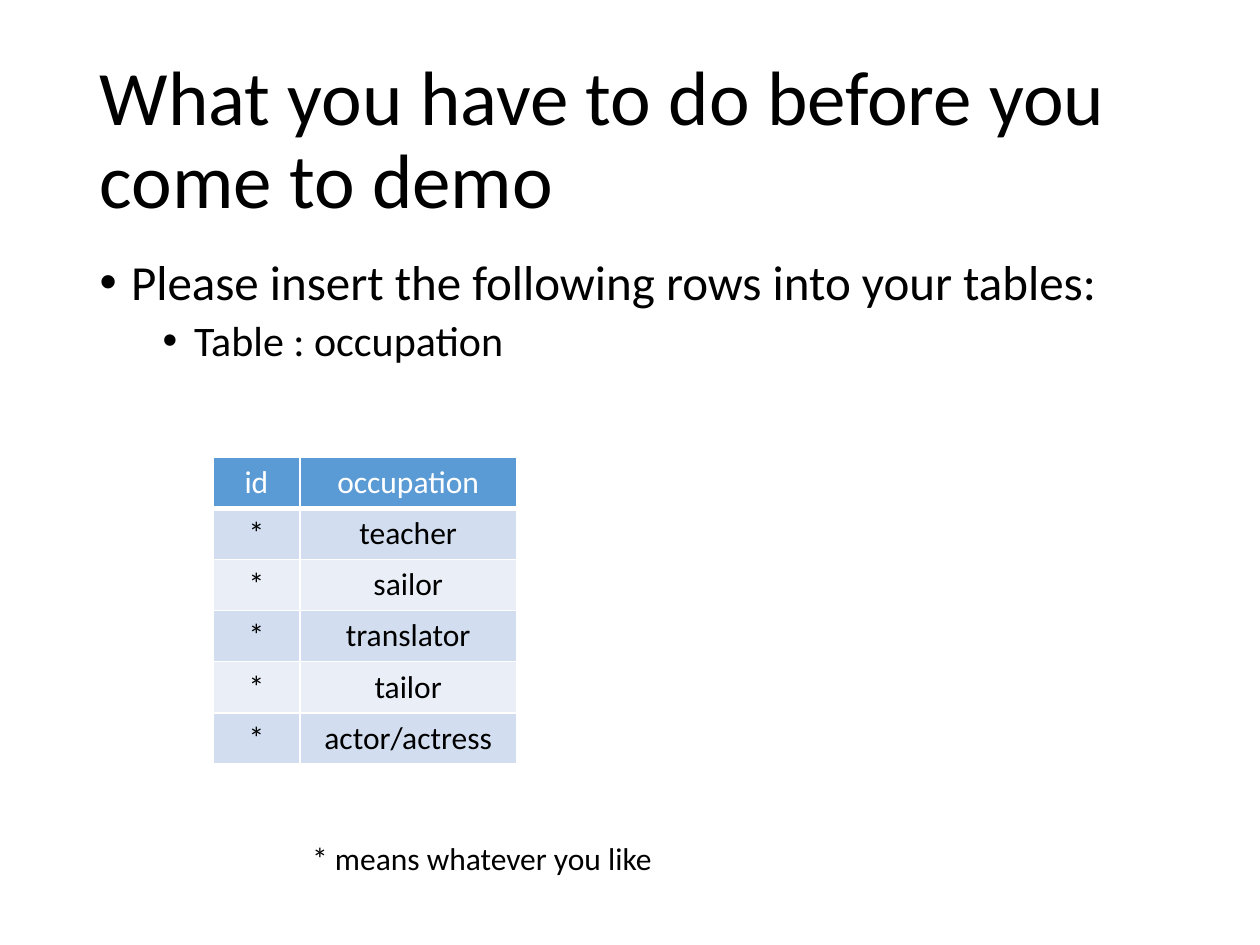
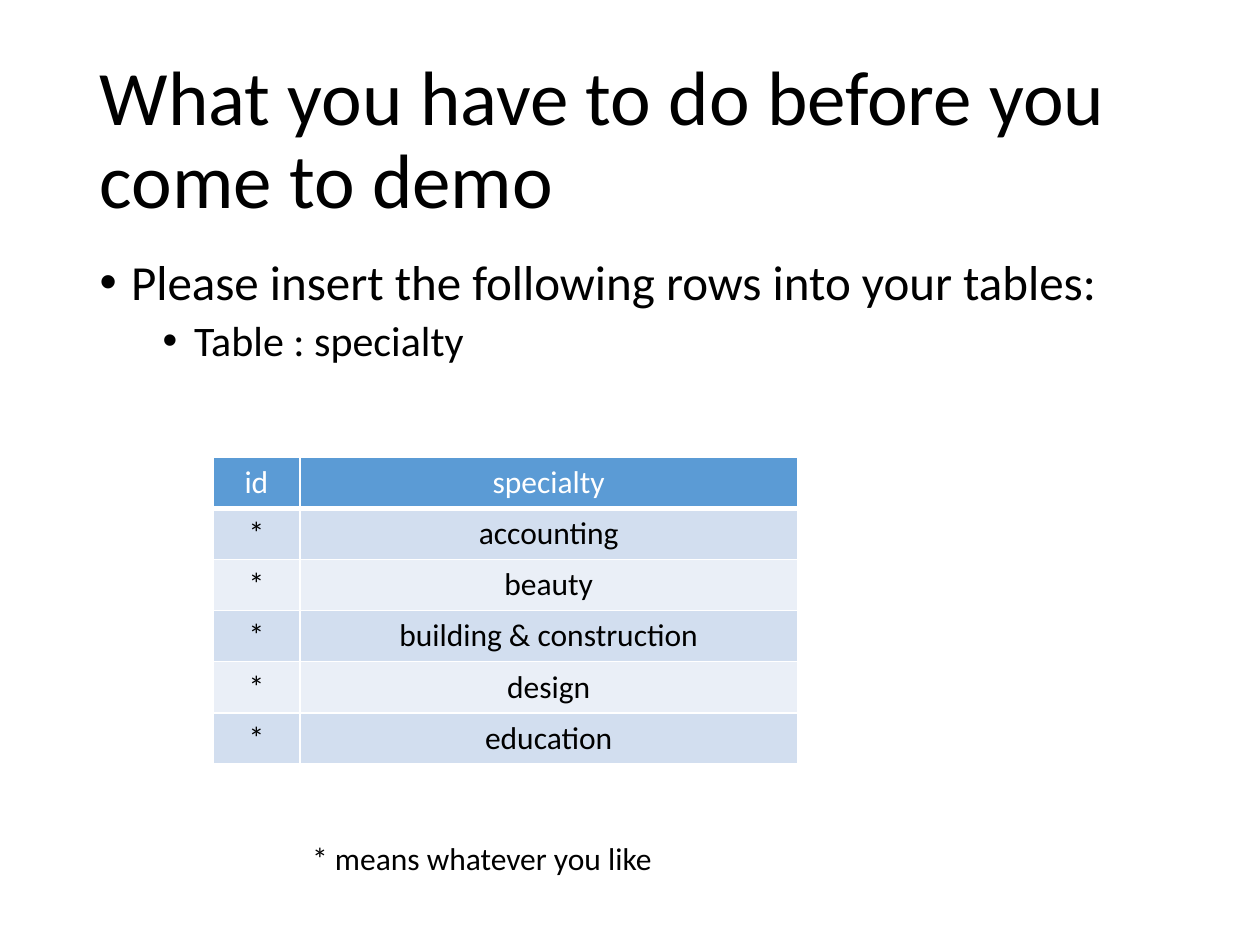
from lxml.etree import SubElement
from pptx import Presentation
from pptx.dml.color import RGBColor
from pptx.enum.text import MSO_ANCHOR, MSO_AUTO_SIZE, PP_ALIGN
from pptx.oxml import parse_xml
from pptx.oxml.ns import nsdecls, qn
from pptx.util import Emu, Pt

EMU_PER_PX = 9144
FONT = "Calibri"
BLACK = RGBColor(0x00, 0x00, 0x00)
WHITE = RGBColor(0xFF, 0xFF, 0xFF)
HEADER_BLUE = RGBColor(0x5B, 0x9B, 0xD5)
BAND_DARK = RGBColor(0xD2, 0xDE, 0xEF)
BAND_LIGHT = RGBColor(0xEA, 0xEF, 0xF7)

TITLE = "What you have to do before you come to demo"
INSTRUCTION = "Please insert the following rows into your tables:"
FOOTNOTE = "* means whatever you like"
ID_WIDTH = 69
TABLE_HEIGHT = 243
TABLES = [
    ("occupation", 172,
     ["teacher", "sailor", "translator", "tailor", "actor/actress"]),
    ("specialty", 395,
     ["accounting", "beauty", "building & construction", "design", "education"]),
]


def px(length):
    return Emu(round(length * EMU_PER_PX))


class DemoDeck:
    def __init__(self):
        self.presentation = Presentation()
        self.presentation.slide_width = px(1000)
        self.presentation.slide_height = px(750)
        self.slide = None

    def add_slide(self):
        layout = self.presentation.slide_layouts[1]
        self.slide = self.presentation.slides.add_slide(layout)
        self.slide.background.fill.solid()
        self.slide.background.fill.fore_color.rgb = WHITE

    def place(self, shape, left, top, width, height):
        shape.left, shape.top = px(left), px(top)
        shape.width, shape.height = px(width), px(height)
        shape.text_frame.word_wrap = True
        shape.text_frame.auto_size = MSO_AUTO_SIZE.NONE

    def add_text(self, paragraph, text, size, color=BLACK, align=PP_ALIGN.LEFT):
        paragraph.alignment = align
        run = paragraph.add_run()
        run.text = text
        run.font.name = FONT
        run.font.size = Pt(size)
        run.font.color.rgb = color

    def title(self, text):
        shape = self.slide.shapes.title
        self.place(shape, 69, 40, 862, 145)
        shape.text_frame.vertical_anchor = MSO_ANCHOR.MIDDLE
        paragraph = shape.text_frame.paragraphs[0]
        paragraph.line_spacing = 0.9
        self.add_text(paragraph, text, 44)

    def bullets(self, items):
        shape = self.slide.placeholders[1]
        self.place(shape, 69, 200, 862, 107)
        frame = shape.text_frame
        for level, text in enumerate(items):
            paragraph = frame.add_paragraph() if level else frame.paragraphs[0]
            paragraph.level = level
            paragraph.line_spacing = 0.9
            paragraph.space_before = Pt(10 - 5 * level)
            self.add_text(paragraph, text, 28 - 4 * level)
            properties = paragraph._p.get_or_add_pPr()
            properties.set("marL", str(px(25 + 50 * level)))
            properties.set("indent", str(px(-25)))
            SubElement(properties, qn("a:buFont")).set("typeface", "Arial")
            SubElement(properties, qn("a:buChar")).set("char", "•")

    def borders(self, cell, bottom):
        properties = cell._tc.get_or_add_tcPr()
        sides = [("L", 1), ("R", 1), ("T", 1), ("B", bottom)]
        for index, (side, width) in enumerate(sides):
            properties.insert(index, parse_xml(
                f'<a:ln{side} {nsdecls("a")} w="{Pt(width)}"><a:solidFill>'
                f'<a:srgbClr val="{WHITE}"/></a:solidFill></a:ln{side}>'))

    def table(self, left, top, widths, rows):
        frame = self.slide.shapes.add_table(
            len(rows), len(widths), px(left), px(top),
            px(sum(widths)), px(TABLE_HEIGHT))
        table = frame.table
        for column, width in zip(table.columns, widths):
            column.width = px(width)
        for row_index, values in enumerate(rows):
            is_header = row_index == 0
            band = BAND_DARK if row_index % 2 else BAND_LIGHT
            for column_index, value in enumerate(values):
                cell = table.cell(row_index, column_index)
                cell.fill.solid()
                cell.fill.fore_color.rgb = HEADER_BLUE if is_header else band
                self.borders(cell, 3 if is_header else 1)
                self.add_text(cell.text_frame.paragraphs[0], value, 18,
                              WHITE if is_header else BLACK, PP_ALIGN.CENTER)

    def note(self, text):
        shape = self.slide.shapes.add_textbox(0, 0, 0, 0)
        self.place(shape, 238, 661, 747, 40)
        shape.text_frame.auto_size = MSO_AUTO_SIZE.SHAPE_TO_FIT_TEXT
        self.add_text(shape.text_frame.paragraphs[0], text, 18)


def main():
    deck = DemoDeck()
    for name, width, values in TABLES:
        deck.add_slide()
        deck.title(TITLE)
        deck.bullets([INSTRUCTION, f"Table : {name}"])
        rows = [("id", name)] + [("*", value) for value in values]
        deck.table(169, 363, [ID_WIDTH, width], rows)
        deck.note(FOOTNOTE)
    deck.presentation.save("out.pptx")


if __name__ == "__main__":
    main()
